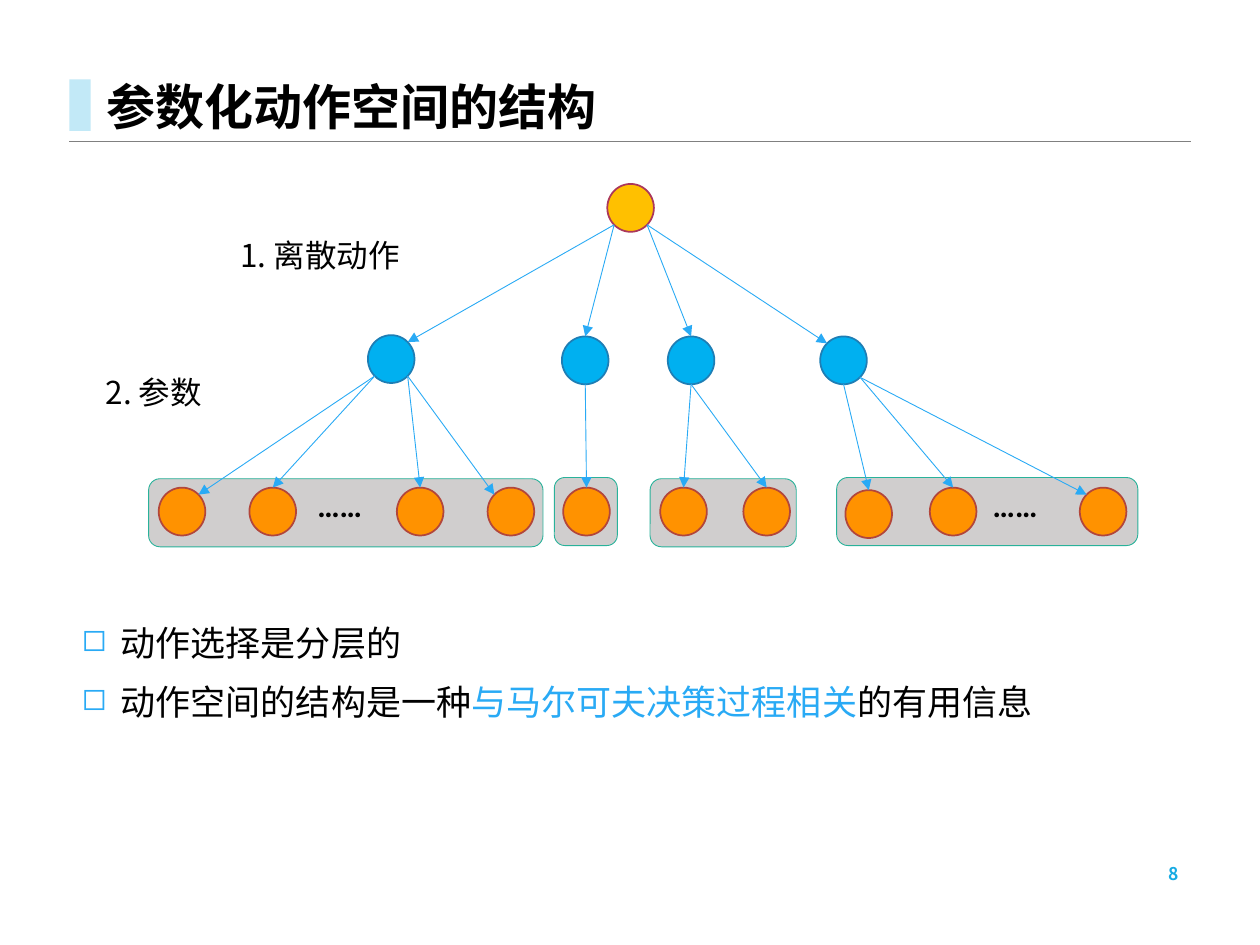
"""Build a slide that shows the tree structure of a parameterized action space."""
import dataclasses
import enum
import math

import pptx
import pptx.dml.color
import pptx.enum.shapes
import pptx.enum.text
import pptx.oxml
import pptx.oxml.ns
import pptx.util

Inches = pptx.util.Inches
Pt = pptx.util.Pt
Shape = pptx.enum.shapes.MSO_SHAPE
Anchor = pptx.enum.text.MSO_ANCHOR
Align = pptx.enum.text.PP_ALIGN

CJK = "Noto Sans CJK JP"
BLACK, ACCENT = "000000", "29AAF5"
NODE_WIDTH, NODE_HEIGHT = 0.37, 0.38
LEAF_TOP = 3.87
GROUP_HEIGHT = 0.54
DIAGONAL = math.sqrt(0.5)


class Site(enum.Enum):
    """Directions from a node's centre to its rim."""
    TOP = (0, -1)
    BOTTOM = (0, 1)
    TOP_LEFT = (-DIAGONAL, -DIAGONAL)
    TOP_RIGHT = (DIAGONAL, -DIAGONAL)
    BOTTOM_LEFT = (-DIAGONAL, DIAGONAL)
    BOTTOM_RIGHT = (DIAGONAL, DIAGONAL)


@dataclasses.dataclass(frozen=True)
class Node:
    """A tree node with the sites where its incoming arrow starts and ends."""
    left: float
    top: float
    start: Site = Site.BOTTOM
    end: Site = Site.TOP

    def rim(self, site: Site) -> tuple[float, float]:
        across, down = site.value
        return (self.left + NODE_WIDTH / 2 * (1 + across),
                self.top + NODE_HEIGHT / 2 * (1 + down))


@dataclasses.dataclass(frozen=True)
class Branch:
    """A discrete action with the group of its parameters."""
    action: Node
    group_left: float
    group_top: float
    group_width: float
    parameters: tuple[Node, ...]


@dataclasses.dataclass(frozen=True)
class Label:
    """A one-line text with its box and look."""
    text: str
    box: tuple[float, float, float, float]
    size: float
    bold: bool = False
    color: str = BLACK
    font: str = CJK
    anchor: Anchor = Anchor.TOP
    align: Align = Align.LEFT


ROOT = Node(4.82, 1.46)
BRANCHES = (
    Branch(Node(2.92, 2.66, Site.BOTTOM_LEFT, Site.TOP_RIGHT), 1.18, 3.8, 3.13, (
        Node(1.26, LEAF_TOP, Site.BOTTOM_LEFT, Site.TOP_RIGHT),
        Node(1.98, LEAF_TOP, Site.BOTTOM_LEFT),
        Node(3.15, LEAF_TOP, Site.BOTTOM_RIGHT),
        Node(3.87, LEAF_TOP, Site.BOTTOM_RIGHT, Site.TOP_LEFT))),
    Branch(Node(4.46, 2.67, Site.BOTTOM_LEFT), 4.4, 3.79, 0.5, (Node(4.47, LEAF_TOP),)),
    Branch(Node(5.3, 2.67, Site.BOTTOM_RIGHT), 5.16, 3.8, 1.16, (
        Node(5.24, LEAF_TOP), Node(5.9, LEAF_TOP))),
    Branch(Node(6.51, 2.67, Site.BOTTOM_RIGHT, Site.TOP_LEFT), 6.64, 3.79, 2.39, (
        Node(6.71, 3.89),
        Node(7.38, LEAF_TOP, Site.BOTTOM_RIGHT),
        Node(8.57, LEAF_TOP, Site.BOTTOM_RIGHT, Site.TOP_LEFT))),
)
LABELS = (
    Label("参数化动作空间的结构", (0.75, 0, 8.9, 1.12), 28, bold=True, anchor=Anchor.BOTTOM),
    Label("1. 离散动作", (1.81, 1.82, 2.53, 0.4), 18),
    Label("2. 参数", (0.74, 2.91, 2.09, 0.4), 18),
    Label("……", (2.42, 3.8, 1.45, 0.4), 18, bold=True, font="Calibri"),
    Label("……", (7.78, 3.8, 1.45, 0.4), 18, bold=True, font="Calibri"),
    Label("8", (7.06, 6.82, 2.39, 0.23), 10, bold=True, color="17ABE3",
          anchor=Anchor.MIDDLE, align=Align.RIGHT),
)
CONCLUSIONS = (
    (("动作选择是分层的", BLACK),),
    (("动作空间的结构是一种", BLACK), ("与马尔可夫决策过程相关", ACCENT), ("的有用信息", BLACK)),
)


def rgb(color: str) -> pptx.dml.color.RGBColor:
    return pptx.dml.color.RGBColor.from_string(color)


def add_xml(parent, tag: str, **attributes: str):
    element = pptx.oxml.ns.qn(tag)
    child = parent.makeelement(element, attributes)
    parent.append(child)
    return child


def style_run(run, size: float, color: str, font: str = CJK, bold: bool = False) -> None:
    run.font.size = Pt(size)
    run.font.bold = bold
    run.font.name = font
    run.font.color.rgb = rgb(color)
    add_xml(run.font._element, "a:ea", typeface=font)


def draw_shape(slide, kind: Shape, box: tuple[float, float, float, float],
               fill: str, outline: str = "", weight: float = 1) -> None:
    shape = slide.shapes.add_shape(kind, *map(Inches, box))
    shape.shadow.inherit = False
    shape.fill.solid()
    shape.fill.fore_color.rgb = rgb(fill)
    if outline:
        shape.line.color.rgb = rgb(outline)
        shape.line.width = Pt(weight)
    else:
        shape.line.fill.background()


def draw_node(slide, node: Node, fill: str, outline: str) -> None:
    draw_shape(slide, Shape.OVAL, (node.left, node.top, NODE_WIDTH, NODE_HEIGHT), fill, outline)


def draw_line(slide, start: tuple[float, float], end: tuple[float, float],
              color: str, weight: float, arrow: bool = False) -> None:
    line = slide.shapes.add_connector(
        pptx.enum.shapes.MSO_CONNECTOR.STRAIGHT, *map(Inches, (*start, *end)))
    line.line.color.rgb = rgb(color)
    line.line.width = Pt(weight)
    if arrow:
        add_xml(line.line._get_or_add_ln(), "a:tailEnd", type="triangle")
    add_xml(line._element.spPr, "a:effectLst")


def draw_arrow(slide, parent: Node, child: Node) -> None:
    draw_line(slide, parent.rim(child.start), child.rim(child.end), ACCENT, 0.5, arrow=True)


def draw_label(slide, label: Label) -> None:
    frame = slide.shapes.add_textbox(*map(Inches, label.box)).text_frame
    frame.word_wrap = True
    frame.vertical_anchor = label.anchor
    frame.text = label.text
    line = frame.paragraphs[0]
    line.alignment = label.align
    line.line_spacing = Pt(round(label.size * 1.25))
    style_run(line.runs[0], label.size, label.color, label.font, label.bold)


def draw_conclusions(slide) -> None:
    frame = slide.shapes.add_textbox(*map(Inches, (0.55, 4.88, 8.89, 2.21))).text_frame
    frame.word_wrap = True
    for index, pieces in enumerate(CONCLUSIONS):
        point = frame.add_paragraph() if index else frame.paragraphs[0]
        point.space_before = Pt(10)
        point.line_spacing = Pt(24)
        properties = point._p.get_or_add_pPr()
        properties.set("marL", str(Inches(0.31)))
        properties.set("indent", str(-Inches(0.31)))
        add_xml(add_xml(properties, "a:buClr"), "a:srgbClr", val=ACCENT)
        add_xml(properties, "a:buSzPct", val="88000")
        add_xml(properties, "a:buChar", char="◻")
        for text, color in pieces:
            run = point.add_run()
            run.text = text
            style_run(run, 20, color)


def main() -> None:
    deck = pptx.Presentation()
    deck.slide_width, deck.slide_height = Inches(10), Inches(7.5)
    slide = deck.slides.add_slide(deck.slide_layouts[6])
    draw_line(slide, (0.55, 1.12), (9.45, 1.12), "808080", 0.25)
    draw_shape(slide, Shape.RECTANGLE, (0.55, 0.63, 0.17, 0.41), "C2E9F7")
    draw_node(slide, ROOT, "FFC000", "AB375B")
    for branch in BRANCHES:
        group = (branch.group_left, branch.group_top, branch.group_width, GROUP_HEIGHT)
        draw_shape(slide, Shape.ROUNDED_RECTANGLE, group, "D0CECE", "29B29A", 0.5)
        draw_node(slide, branch.action, "00B0F0", "1E7EB5")
        draw_arrow(slide, ROOT, branch.action)
        for parameter in branch.parameters:
            draw_node(slide, parameter, "FF9200", "B2463B")
            draw_arrow(slide, branch.action, parameter)
    for label in LABELS:
        draw_label(slide, label)
    draw_conclusions(slide)
    deck.save("out.pptx")


if __name__ == "__main__":
    main()
